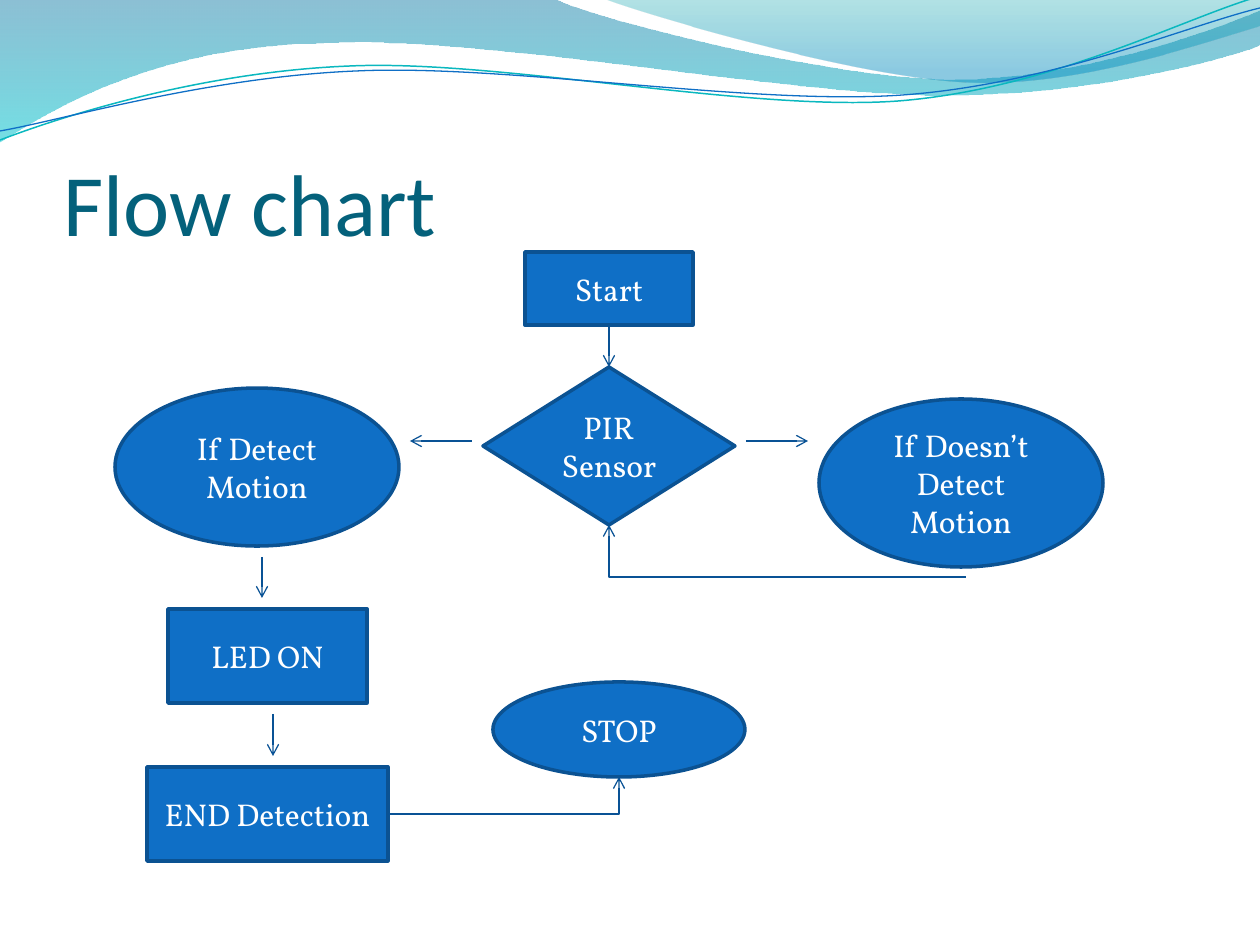
from lxml import etree
from pptx import Presentation
from pptx.dml.color import RGBColor
from pptx.enum.shapes import MSO_CONNECTOR, MSO_SHAPE
from pptx.enum.text import MSO_ANCHOR, MSO_AUTO_SIZE, PP_ALIGN
from pptx.oxml.ns import qn
from pptx.util import Pt

RECT, DIAMOND, ELLIPSE = MSO_SHAPE.RECTANGLE, MSO_SHAPE.DIAMOND, MSO_SHAPE.OVAL
STRAIGHT, ELBOW = MSO_CONNECTOR.STRAIGHT, MSO_CONNECTOR.ELBOW
LEFT, CENTER = PP_ALIGN.LEFT, PP_ALIGN.CENTER
MIDDLE, BOTTOM = MSO_ANCHOR.MIDDLE, MSO_ANCHOR.BOTTOM

BLUE = RGBColor(0x0F, 0x6F, 0xC6)
BORDER = RGBColor(0x0B, 0x52, 0x92)
ARROW = RGBColor(0x09, 0x52, 0x95)
TITLE = RGBColor(0x04, 0x61, 0x7B)
WHITE = RGBColor(0xFF, 0xFF, 0xFF)
TEAL = RGBColor(0x0A, 0xB8, 0xBF)
DEEP = RGBColor(0x00, 0x74, 0xA1)
CYAN = RGBColor(0x00, 0xC6, 0xCF)
SEA = RGBColor(0x00, 0xA1, 0xA9)
SKY = RGBColor(0x00, 0x8B, 0xBF)

PX = 914400 / 126

BANDS = [
    ((0, 0),
     [[(554, -1)], [(600, 21), (837, 79), (955, 79)],
      [(1075, 79), (1207, 33), (1260, 11)], [(1261, 45)],
      [(1239, 55), (1096, 96), (940, 95)], [(784, 95), (481, 35), (324, 43)],
      [(163, 45), (58, 105), (-1, 142)]],
     [(0, DEEP, 45), (1, CYAN, 55)]),
    ((604, -1),
     [[(641, 14), (859, 78), (969, 82)], [(1079, 87), (1211, 40), (1260, 26)],
      [(1260, 0)]],
     [(0, SEA, 30), (0.8, SKY, 45)]),
]
STRANDS = [
    ((0, 140),
     [[(60, 117), (199, 72), (349, 66)], [(498, 59), (747, 112), (898, 101)],
      [(1050, 89), (1182, 19), (1257, -3)]], TEAL, 0.85),
    ((0, 131),
     [[(59, 121), (207, 77), (357, 71)], [(508, 64), (752, 106), (903, 95)],
      [(1053, 84), (1186, 26), (1260, 8)]], BLUE, 0.75),
]
NODES = [
    ("Start", RECT, (525, 252, 168, 73)),
    ("PIR\nSensor", DIAMOND, (483, 367, 252, 158)),
    ("If Detect Motion", ELLIPSE, (115, 388, 284, 158)),
    ("If Doesn’t Detect Motion", ELLIPSE, (819, 399, 284, 168)),
    ("LED ON", RECT, (168, 609, 199, 94)),
    ("STOP", ELLIPSE, (493, 682, 252, 95)),
    ("END Detection", RECT, (147, 767, 241, 94)),
]
ARROWS = [
    (STRAIGHT, (609, 325, 609, 367)),
    (STRAIGHT, (472, 441, 410, 441)),
    (STRAIGHT, (746, 441, 808, 441)),
    (STRAIGHT, (262, 557, 262, 598)),
    (STRAIGHT, (273, 714, 273, 756)),
    (ELBOW, (966, 577, 609, 525)),
    (ELBOW, (388, 814, 619, 777)),
]


def emu(values):
    return [round(v * PX) for v in values]


def write(tf, text, font, size, color, align, anchor):
    tf.text = text
    tf.word_wrap = True
    tf.vertical_anchor = anchor
    for p in tf.paragraphs:
        p.alignment = align
        for r in p.runs:
            r.font.name, r.font.size = font, Pt(size)
            r.font.color.rgb = color


def add_outline(shapes, start, steps, close):
    builder = shapes.build_freeform(*emu(start), scale=1)
    builder.add_line_segments([emu(pt) for step in steps for pt in step],
                              close=close)
    sp = builder.convert_to_shape()
    sp.shadow.inherit = False
    segments = iter(list(sp._element.spPr.iter(qn("a:lnTo"))))
    for step in steps:
        first, *others = [next(segments) for _ in step]
        if others:
            first.tag = qn("a:cubicBezTo")
        for other in others:
            first.append(other[0])
            other.getparent().remove(other)
    return sp


def add_band(shapes, start, steps, stops):
    sp = add_outline(shapes, start, steps, True)
    sp.line.fill.background()
    sp.fill.gradient()
    sp.fill.gradient_angle = 270
    for stop, (position, color, _) in zip(sp.fill.gradient_stops, stops):
        stop.position, stop.color.rgb = position, color
    colors = list(sp._element.spPr.iter(qn("a:srgbClr")))
    for node, (_, _, opacity) in zip(colors, stops):
        etree.SubElement(node, qn("a:alpha"), val=str(opacity * 1000))


def add_strand(shapes, start, steps, color, width):
    sp = add_outline(shapes, start, steps, False)
    sp.fill.background()
    sp.line.color.rgb, sp.line.width = color, Pt(width)


def add_node(shapes, text, kind, box):
    sp = shapes.add_shape(kind, *emu(box))
    sp.shadow.inherit = False
    sp.fill.solid()
    sp.fill.fore_color.rgb = BLUE
    sp.line.color.rgb, sp.line.width = BORDER, Pt(2)
    write(sp.text_frame, text, font="Vollkorn", size=18, color=WHITE,
          align=CENTER, anchor=MIDDLE)


def add_arrow(shapes, kind, ends):
    cxn = shapes.add_connector(kind, *emu(ends))
    cxn.line.color.rgb, cxn.line.width = ARROW, Pt(0.75)
    props = cxn._element.spPr
    if kind == ELBOW:
        props.find(qn("a:prstGeom")).set("prst", "bentConnector2")
    etree.SubElement(props.find(qn("a:ln")), qn("a:tailEnd"), type="arrow")
    etree.SubElement(props, qn("a:effectLst"))


def main():
    prs = Presentation()
    prs.slide_width, prs.slide_height = emu((1260, 945))
    s = prs.slides.add_slide(prs.slide_layouts[5])
    for band in BANDS:
        add_band(s.shapes, *band)
    for strand in STRANDS:
        add_strand(s.shapes, *strand)

    title = s.shapes.title
    title.left, title.top, title.width, title.height = emu((63, 97, 1134, 157))
    tf = title.text_frame
    tf.auto_size = MSO_AUTO_SIZE.NONE
    tf.margin_left = tf.margin_right = tf.margin_bottom = 0
    write(tf, "Flow chart", font="Calibri", size=50, color=TITLE,
          align=LEFT, anchor=BOTTOM)

    for node in NODES:
        add_node(s.shapes, *node)
    for arrow in ARROWS:
        add_arrow(s.shapes, *arrow)
    prs.save("out.pptx")


if __name__ == "__main__":
    main()
